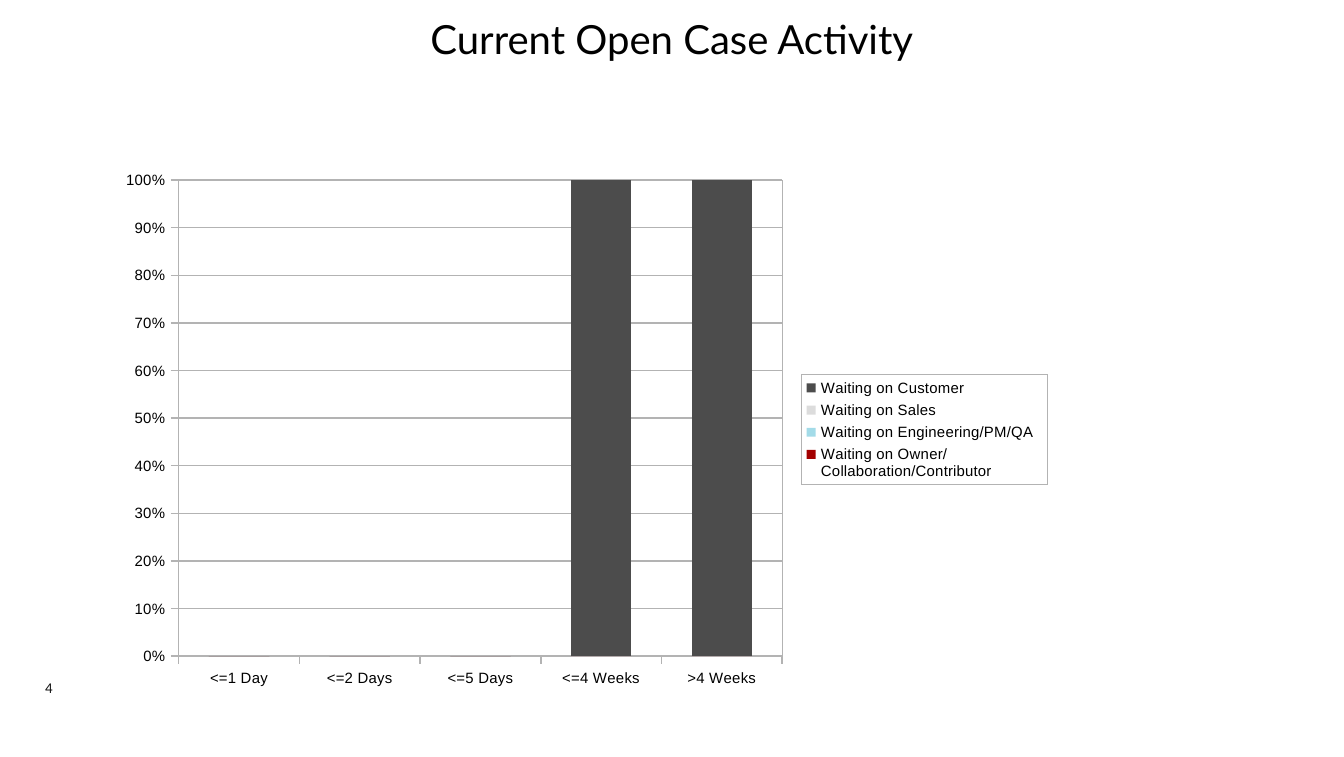
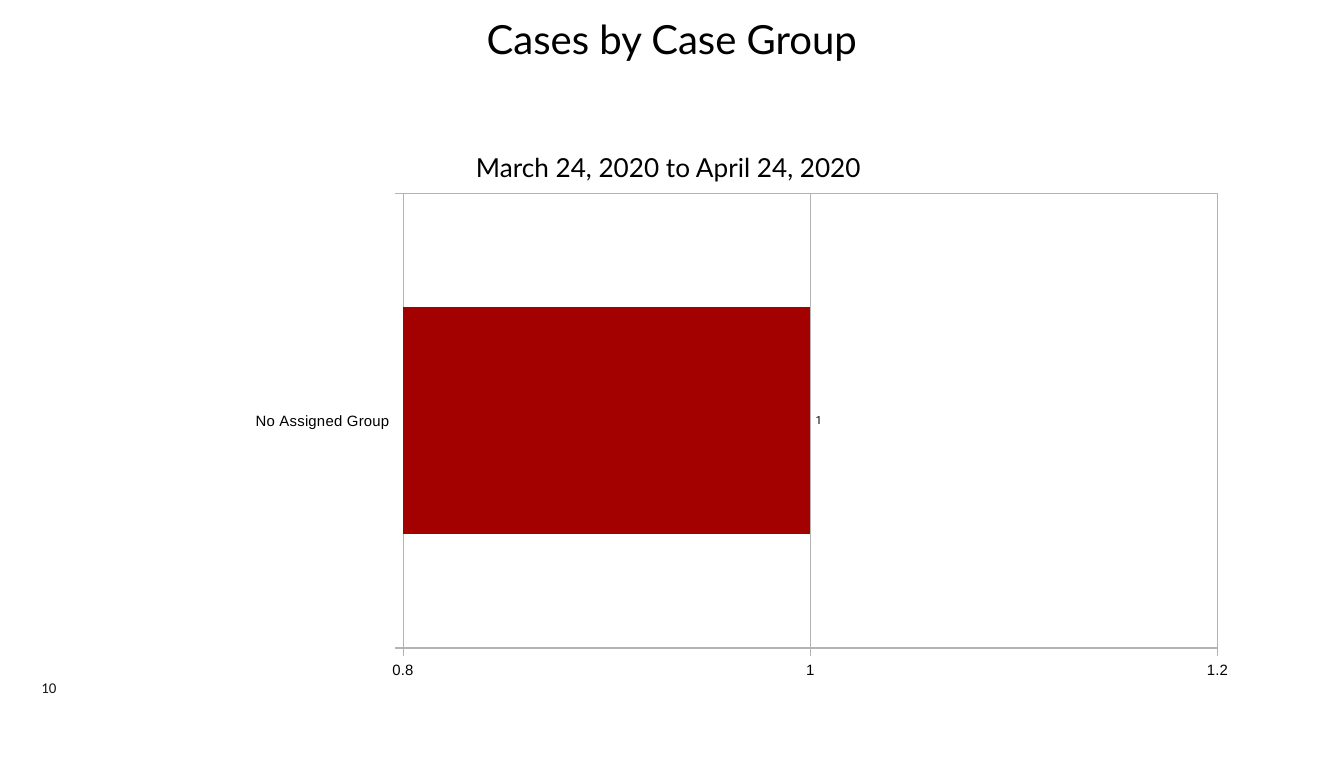
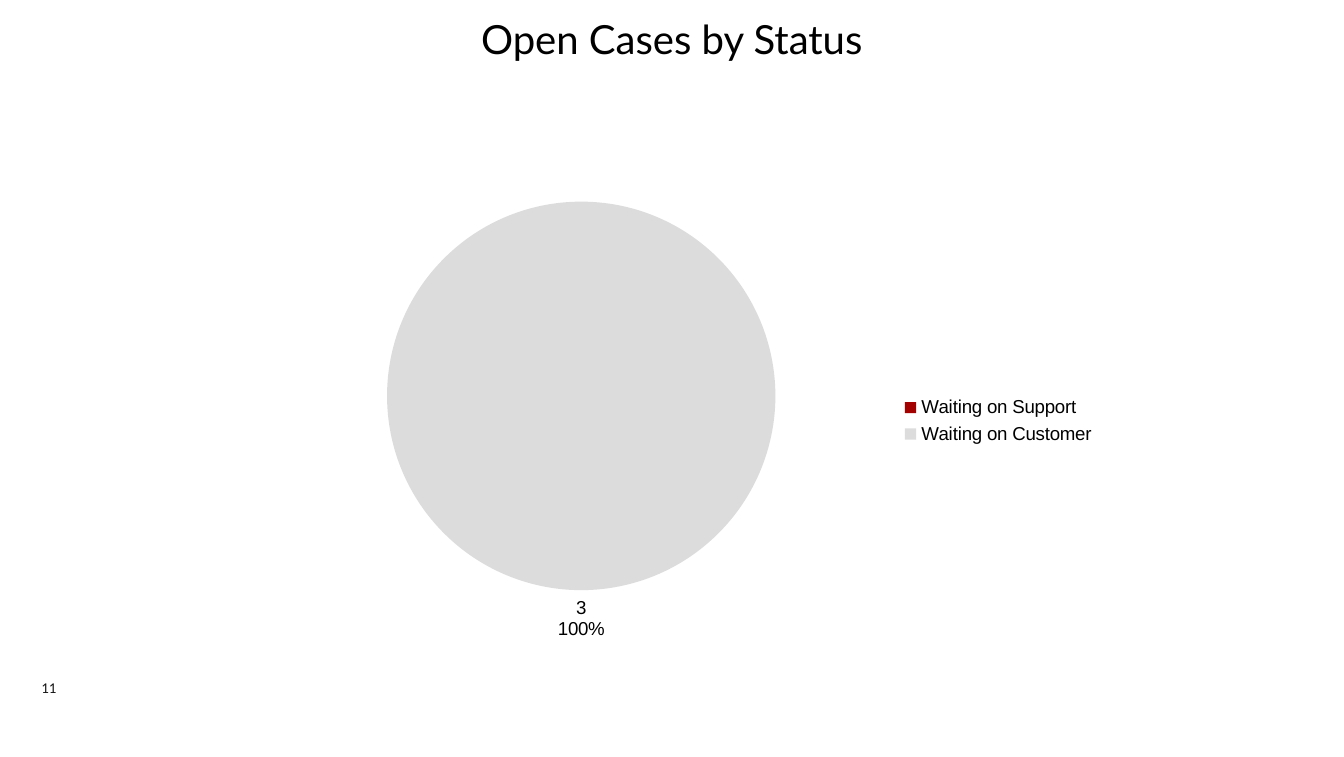
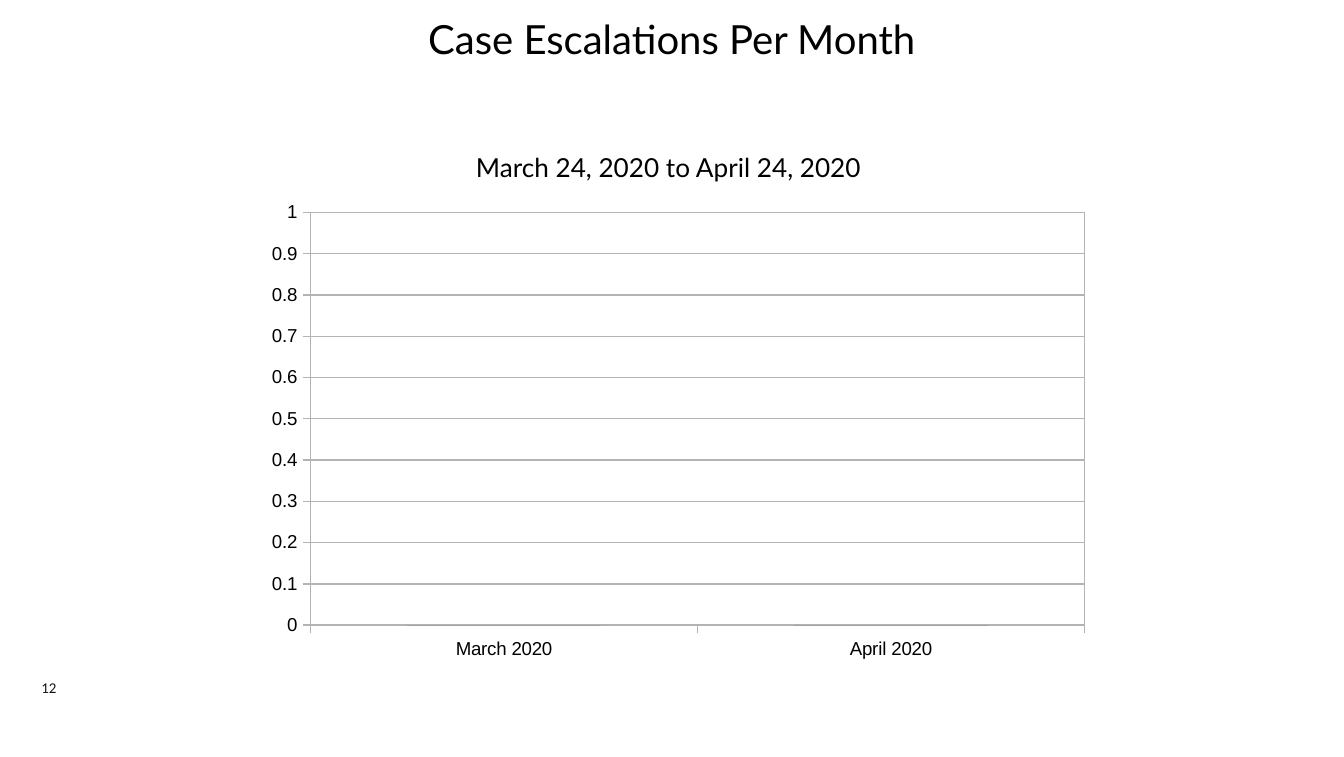
import lxml.etree
import pptx
import pptx.chart.data
import pptx.dml.color
import pptx.enum.chart
import pptx.enum.text
import pptx.oxml
import pptx.oxml.ns
import pptx.util

Inches = pptx.util.Inches
Pt = pptx.util.Pt
RGBColor = pptx.dml.color.RGBColor
Anchor = pptx.enum.text.MSO_ANCHOR
ChartType = pptx.enum.chart.XL_CHART_TYPE
LabelPosition = pptx.enum.chart.XL_LABEL_POSITION
qn = pptx.oxml.ns.qn

BLACK = RGBColor(0x00, 0x00, 0x00)
INK = RGBColor(0x14, 0x14, 0x14)
RULE = RGBColor(0xB3, 0xB3, 0xB3)
RED = RGBColor(0xA3, 0x00, 0x00)
BLUE = RGBColor(0xA3, 0xDB, 0xE8)
SILVER = RGBColor(0xDC, 0xDC, 0xDC)
CHARCOAL = RGBColor(0x4C, 0x4C, 0x4C)
WHITE = RGBColor(0xFF, 0xFF, 0xFF)

PERIOD = "March 24, 2020 to April 24, 2020 "


def set_font(font, size, name="Arial", color=BLACK):
    """Apply size, typeface and colour to a font."""
    font.size = Pt(size)
    font.name = name
    font.color.rgb = color


def add_text(slide, text, box, size, name="Lato", color=BLACK, anchor=Anchor.TOP):
    """Add a centred text box without insets."""
    tf = slide.shapes.add_textbox(*map(Inches, box)).text_frame
    tf.margin_left = tf.margin_top = tf.margin_right = tf.margin_bottom = 0
    tf.word_wrap = True
    tf.vertical_anchor = anchor
    p = tf.paragraphs[0]
    p.alignment = pptx.enum.text.PP_ALIGN.CENTER
    r = p.add_run()
    r.text = text
    set_font(r.font, size, name, color)


def add_slide(prs, title, number):
    """Add a white slide with its title and number."""
    slide = prs.slides.add_slide(prs.slide_layouts[6])
    slide.background.fill.solid()
    slide.background.fill.fore_color.rgb = WHITE
    add_text(slide, title, (0.75, 0.11, 8.5, 0.36), 21.5)
    add_text(slide, str(number), (0.03, 5.03, 0.67, 0.15), 8, "Calibri", INK, Anchor.BOTTOM)
    return slide


def add_period(slide):
    """Add the reporting period below the title."""
    add_text(slide, PERIOD, (0.75, 0.96, 8.5, 0.57), 14, anchor=Anchor.MIDDLE)


def outline():
    """Return shape properties with a hairline border and no fill."""
    return pptx.oxml.parse_xml(
        '<c:spPr xmlns:c="http://schemas.openxmlformats.org/drawingml/2006/chart"'
        ' xmlns:a="http://schemas.openxmlformats.org/drawingml/2006/main">'
        f'<a:noFill/><a:ln w="0"><a:solidFill><a:srgbClr val="{RULE}"/></a:solidFill></a:ln>'
        "</c:spPr>")


def place_plot(chart, box, plot_box):
    """Fix the inner plot area, given in slide inches."""
    left, top, width, height = box
    x, y, w, h = plot_box
    area = chart._chartSpace.chart.plotArea
    for old in area.findall(qn("c:layout")):
        area.remove(old)
    layout = lxml.etree.Element(qn("c:layout"))
    manual = lxml.etree.SubElement(layout, qn("c:manualLayout"))
    settings = {"layoutTarget": "inner", "xMode": "edge", "yMode": "edge",
                "x": (x - left) / width, "y": (y - top) / height,
                "w": w / width, "h": h / height}
    for tag, value in settings.items():
        lxml.etree.SubElement(manual, qn(f"c:{tag}")).set("val", str(value))
    area.insert(0, layout)


def add_chart(slide, kind, box, plot_box, cats, series):
    """Add a chart from (name, values) pairs and return it."""
    data = pptx.chart.data.CategoryChartData()
    data.categories = cats
    for name, values in series:
        data.add_series(name, values)
    chart = slide.shapes.add_chart(kind, *map(Inches, box), data).chart
    chart.has_title = False
    chart.has_legend = False
    set_font(chart.font, 10)
    place_plot(chart, box, plot_box)
    return chart


def add_bar_chart(slide, kind, box, plot_box, cats, series, colors, size,
                  overlap=0, number_format="General", top=None, step=None):
    """Add a bar or column chart with hairline axes, grid and frame."""
    chart = add_chart(slide, kind, box, plot_box, cats, series)
    plot = chart.plots[0]
    plot.gap_width = 100
    plot.overlap = overlap
    plot.vary_by_categories = False
    for ser, color in zip(plot.series, colors):
        ser.format.fill.solid()
        ser.format.fill.fore_color.rgb = color
        ser.invert_if_negative = False
    axis = chart.value_axis
    axis.has_major_gridlines = True
    axis.maximum_scale = top
    axis.major_unit = step
    axis.tick_labels.number_format = number_format
    axis.tick_labels.number_format_is_linked = False
    for ax in (chart.category_axis, axis):
        ax.major_tick_mark = pptx.enum.chart.XL_TICK_MARK.OUTSIDE
        set_font(ax.tick_labels.font, size)
    for line in (chart.category_axis.format.line, axis.format.line,
                 axis.major_gridlines.format.line):
        line.width = 0
        line.color.rgb = RULE
    chart._chartSpace.chart.plotArea.append(outline())
    return chart


def add_legend(chart, size, framed=False):
    """Show the legend on the right, framed if asked."""
    chart.has_legend = True
    chart.legend.position = pptx.enum.chart.XL_LEGEND_POSITION.RIGHT
    chart.legend.include_in_layout = False
    set_font(chart.legend.font, size)
    if framed:
        chart.legend._element.find(qn("c:overlay")).addnext(outline())


def add_labels(chart, size, name="Arial", percent=False):
    """Show values, and percentages below them if asked, outside the marks."""
    labels = chart.plots[0].series[0].data_labels
    labels.show_value = True
    labels.show_percentage = percent
    labels.position = LabelPosition.OUTSIDE_END
    set_font(labels.font, size, name)
    if percent:
        separator = lxml.etree.Element(qn("c:separator"))
        separator.text = "\n"
        labels._element.find(qn("c:showBubbleSize")).addnext(separator)


def build_activity(prs):
    """Build the slide on open case activity by age."""
    slide = add_slide(prs, "Current Open Case Activity", 4)
    none = (0, 0, 0, 0, 0)
    chart = add_bar_chart(
        slide, ChartType.COLUMN_STACKED_100, (0.79, 1.2, 7.09, 3.99), (1.33, 1.34, 4.49, 3.54),
        ["<=1 Day", "<=2 Days", "<=5 Days", "<=4 Weeks", ">4 Weeks"],
        [("Waiting on Owner/Collaboration/Contributor", none),
         ("Waiting on Engineering/PM/QA", none),
         ("Waiting on Sales", none),
         ("Waiting on Customer", (0, 0, 0, 100, 100))],
        (RED, BLUE, SILVER, CHARCOAL), 8, overlap=100, number_format="0%")
    add_legend(chart, 8, framed=True)


def build_groups(prs):
    """Build the slide on cases by group."""
    slide = add_slide(prs, "Cases by Case Group", 10)
    chart = add_bar_chart(
        slide, ChartType.BAR_CLUSTERED, (0.75, 1.37, 8.48, 3.73), (3, 1.44, 6.06, 3.38),
        ["No Assigned Group"], [("Series 1", (1,))], [RED], 8, top=1.2, step=0.2)
    add_labels(chart, 6, "Roboto")
    add_period(slide)


def build_status(prs):
    """Build the slide on open cases by status."""
    slide = add_slide(prs, "Open Cases by Status", 11)
    chart = add_chart(
        slide, ChartType.PIE, (1.96, 1.36, 6.29, 3.54), (2.88, 1.5, 2.89, 2.89),
        ["Waiting on Support", "Waiting on Customer"], [("Series 1", (0, 3))])
    for i, color in enumerate((RED, SILVER)):
        fill = chart.plots[0].series[0].points[i].format.fill
        fill.solid()
        fill.fore_color.rgb = color
    add_labels(chart, 10, percent=True)
    add_legend(chart, 10)


def build_escalations(prs):
    """Build the slide on escalations per month."""
    slide = add_slide(prs, "Case Escalations Per Month", 12)
    add_period(slide)
    add_bar_chart(
        slide, ChartType.COLUMN_CLUSTERED, (1.9, 1.44, 6.29, 3.54), (2.31, 1.58, 5.76, 3.07),
        ["March 2020", "April 2020"], [("Series 1", (0, 0))], [RED], 10, top=1, step=0.1)


def main():
    """Build and save the presentation."""
    prs = pptx.Presentation()
    prs.slide_width = Inches(10)
    prs.slide_height = Inches(5.63)
    for build in (build_activity, build_groups, build_status, build_escalations):
        build(prs)
    prs.save("out.pptx")


if __name__ == "__main__":
    main()
